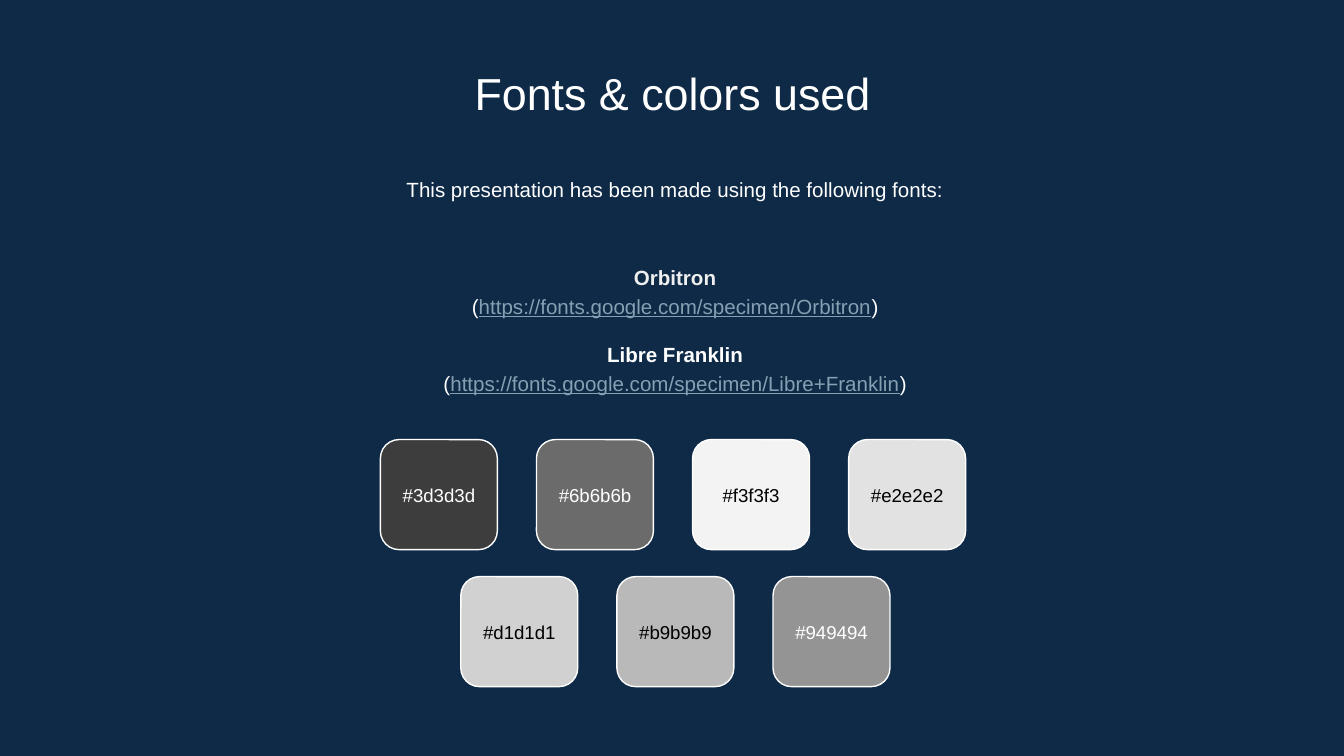
"""Build a slide that lists the fonts and colours of a presentation."""
from pptx import Presentation
from pptx import util as u
from pptx.dml.color import RGBColor
from pptx.enum import shapes, text

TITLE = "Fonts & colors used"
INTRO = "This presentation has been made using the following fonts:"
FONTS = [
    ("Orbitron", "https://fonts.google.com/specimen/Orbitron", "heading"),
    ("Libre Franklin", "https://fonts.google.com/specimen/Libre+Franklin", "light"),
]
SWATCH_ROWS = [
    (7.19, 8.31, ["#3d3d3d", "#6b6b6b", "#f3f3f3", "#e2e2e2"]),
    (8.71, 10.9, ["#d1d1d1", "#b9b9b9", "#949494"]),
]
SWATCH_WIDTH, SWATCH_HEIGHT, SWATCH_PITCH = 2.21, 2.08, 2.95
TEXT_LEFT, TEXT_WIDTH = 2.97, 19.58

THEME = {
    "font": "Arial",
    "colours": {"background": "0E2A47", "light": "FFFFFF", "dark": "000000",
                "heading": "EFEFEF", "link": "869FB2"},
    "sizes": {"title": 24, "body": 11, "label": 10},
}


def colour(name):
    return RGBColor.from_string(THEME["colours"][name])


def apply(target, **values):
    for name, value in values.items():
        setattr(target, name, value)


def set_frame(frame, anchor, inset=0.25, top=0.25):
    apply(frame, word_wrap=True, auto_size=text.MSO_AUTO_SIZE.NONE,
          vertical_anchor=anchor, margin_left=u.Cm(inset),
          margin_right=u.Cm(inset), margin_top=u.Cm(top), margin_bottom=u.Cm(inset))


def write(paragraph, size, runs, spacing=1.15, before=0):
    apply(paragraph, alignment=text.PP_ALIGN.CENTER, line_spacing=spacing,
          space_before=u.Pt(before))
    for words, name, style in runs:
        run = paragraph.add_run()
        run.text = words
        apply(run.font, name=THEME["font"], size=u.Pt(THEME["sizes"][size]),
              **{"bold": False, **style})
        run.font.color.rgb = colour(name)


def add_title(slide):
    title = slide.shapes.title
    apply(title, left=u.Cm(2.92), top=u.Cm(0.89), width=u.Cm(TEXT_WIDTH),
          height=u.Cm(1.35))
    set_frame(title.text_frame, text.MSO_ANCHOR.TOP, top=0.35)
    write(title.text_frame.paragraphs[0], "title", [(TITLE, "light", {})], 1.0)


def add_text_box(slide, top, height, anchor):
    box = slide.shapes.add_textbox(
        u.Cm(TEXT_LEFT), u.Cm(top), u.Cm(TEXT_WIDTH), u.Cm(height))
    set_frame(box.text_frame, anchor)
    return box.text_frame


def add_font_list(slide):
    frame = add_text_box(slide, 4.47, 3.48, text.MSO_ANCHOR.MIDDLE)
    for index, (font, address, name) in enumerate(FONTS):
        heading = frame.add_paragraph() if index else frame.paragraphs[0]
        write(heading, "body", [(font, name, {"bold": True})],
              before=11 if index else 0)
        write(frame.add_paragraph(), "body", [
            ("(", "light", {}), (address, "link", {"underline": True}),
            (")", "light", {})])


def add_swatch(slide, left, top, code):
    swatch = slide.shapes.add_shape(
        shapes.MSO_SHAPE.ROUNDED_RECTANGLE, u.Cm(left), u.Cm(top),
        u.Cm(SWATCH_WIDTH), u.Cm(SWATCH_HEIGHT))
    swatch.shadow.inherit = False
    swatch.adjustments[0] = 0.17
    fill = RGBColor.from_string(code[1:].upper())
    swatch.fill.solid()
    swatch.fill.fore_color.rgb = fill
    swatch.line.color.rgb = colour("light")
    swatch.line.width = u.Pt(0.75)
    set_frame(swatch.text_frame, text.MSO_ANCHOR.MIDDLE, inset=0, top=0)
    label_colour = "dark" if fill[0] > 160 else "light"
    write(swatch.text_frame.paragraphs[0], "label", [(code, label_colour, {})], 1.0)


def main():
    presentation = Presentation()
    apply(presentation, slide_width=u.Cm(25.4), slide_height=u.Cm(14.29))
    slide = presentation.slides.add_slide(presentation.slide_layouts[5])
    slide.background.fill.solid()
    slide.background.fill.fore_color.rgb = colour("background")

    add_title(slide)
    intro = add_text_box(slide, 3.02, 1.22, text.MSO_ANCHOR.TOP)
    write(intro.paragraphs[0], "body", [(INTRO, "light", {})])
    add_font_list(slide)
    for left, top, codes in SWATCH_ROWS:
        for column, code in enumerate(codes):
            add_swatch(slide, left + column * SWATCH_PITCH, top, code)
    presentation.save("out.pptx")


if __name__ == "__main__":
    main()
